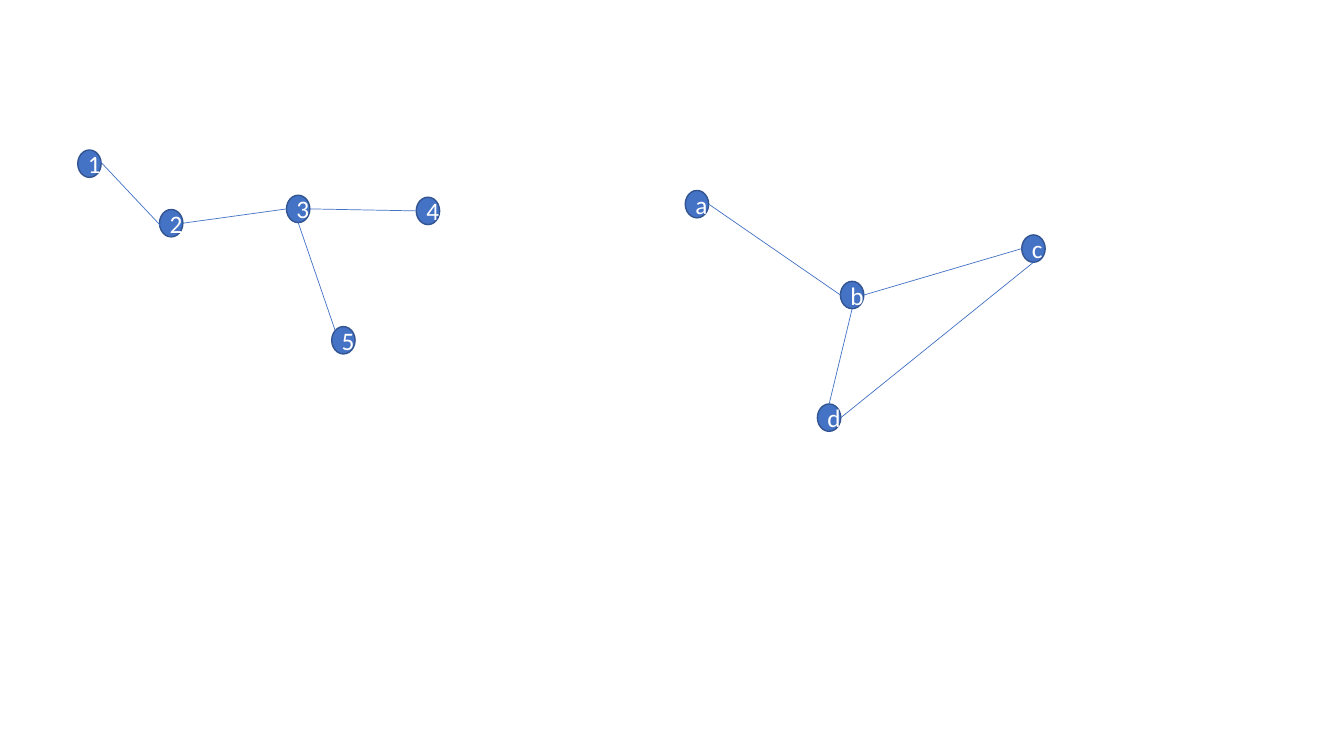
from lxml.etree import SubElement
from pptx import Presentation
from pptx.dml.color import RGBColor
from pptx.enum.shapes import MSO_CONNECTOR, MSO_SHAPE
from pptx.enum.text import MSO_ANCHOR, PP_ALIGN
from pptx.oxml.ns import qn
from pptx.util import Cm, Pt

COLORS = {"node": "4472C4", "outline": "325491", "label": "FFFFFF", "edge": "4472C4"}
NODE_WIDTH, NODE_HEIGHT = 0.59, 0.69
SITES = {
    "top": (0.5, 0),
    "left": (0, 0.5),
    "bottom": (0.5, 1),
    "right": (1, 0.5),
    "top left": (0.15, 0.15),
}

NUMBER_NODES = {
    "1": (0, 0),
    "2": (2.06, 1.5),
    "3": (5.26, 1.14),
    "4": (8.53, 1.19),
    "5": (6.4, 4.45),
}
NUMBER_EDGES = [
    ("1", "top", "2", "bottom"),
    ("2", "right", "3", "left"),
    ("3", "right", "4", "left"),
    ("3", "bottom", "5", "top left"),
]
LETTER_NODES = {
    "a": (0, 0),
    "b": (3.91, 2.29),
    "c": (8.48, 1.12),
    "d": (3.33, 5.38),
}
LETTER_EDGES = [
    ("a", "right", "b", "left"),
    ("b", "right", "c", "left"),
    ("b", "bottom", "d", "top"),
    ("c", "bottom", "d", "right"),
]


def color(part):
    return RGBColor.from_string(COLORS[part])


def add_node(slide, label, left, top):
    node = slide.shapes.add_shape(
        MSO_SHAPE.OVAL, Cm(left), Cm(top), Cm(NODE_WIDTH), Cm(NODE_HEIGHT)
    )
    node.shadow.inherit = False
    node.fill.solid()
    node.fill.fore_color.rgb = color("node")
    node.line.color.rgb = color("outline")
    node.line.width = Pt(1)
    node.text_frame.text = label
    node.text_frame.vertical_anchor = MSO_ANCHOR.MIDDLE
    paragraph = node.text_frame.paragraphs[0]
    paragraph.alignment = PP_ALIGN.CENTER
    font = paragraph.runs[0].font
    font.name = "Calibri"
    font.size = Pt(18)
    font.color.rgb = color("label")
    return node


def site_point(node, site):
    across, down = SITES[site]
    return int(node.left + across * node.width), int(node.top + down * node.height)


def add_edge(slide, start, end):
    edge = slide.shapes.add_connector(MSO_CONNECTOR.STRAIGHT, *start, *end)
    edge.line.color.rgb = color("edge")
    edge.line.width = Pt(0.5)
    SubElement(edge._element.spPr, qn("a:effectLst"))


def add_graph(slide, left, top, nodes, edges):
    placed = {
        label: add_node(slide, label, left + x, top + y)
        for label, (x, y) in nodes.items()
    }
    for source, source_site, target, target_site in edges:
        add_edge(
            slide,
            site_point(placed[source], source_site),
            site_point(placed[target], target_site),
        )


def main():
    presentation = Presentation()
    presentation.slide_width = Cm(33.87)
    presentation.slide_height = Cm(19.05)
    slide = presentation.slides.add_slide(presentation.slide_layouts[6])
    add_graph(slide, 1.96, 3.78, NUMBER_NODES, NUMBER_EDGES)
    add_graph(slide, 17.27, 4.8, LETTER_NODES, LETTER_EDGES)
    presentation.save("out.pptx")


if __name__ == "__main__":
    main()
